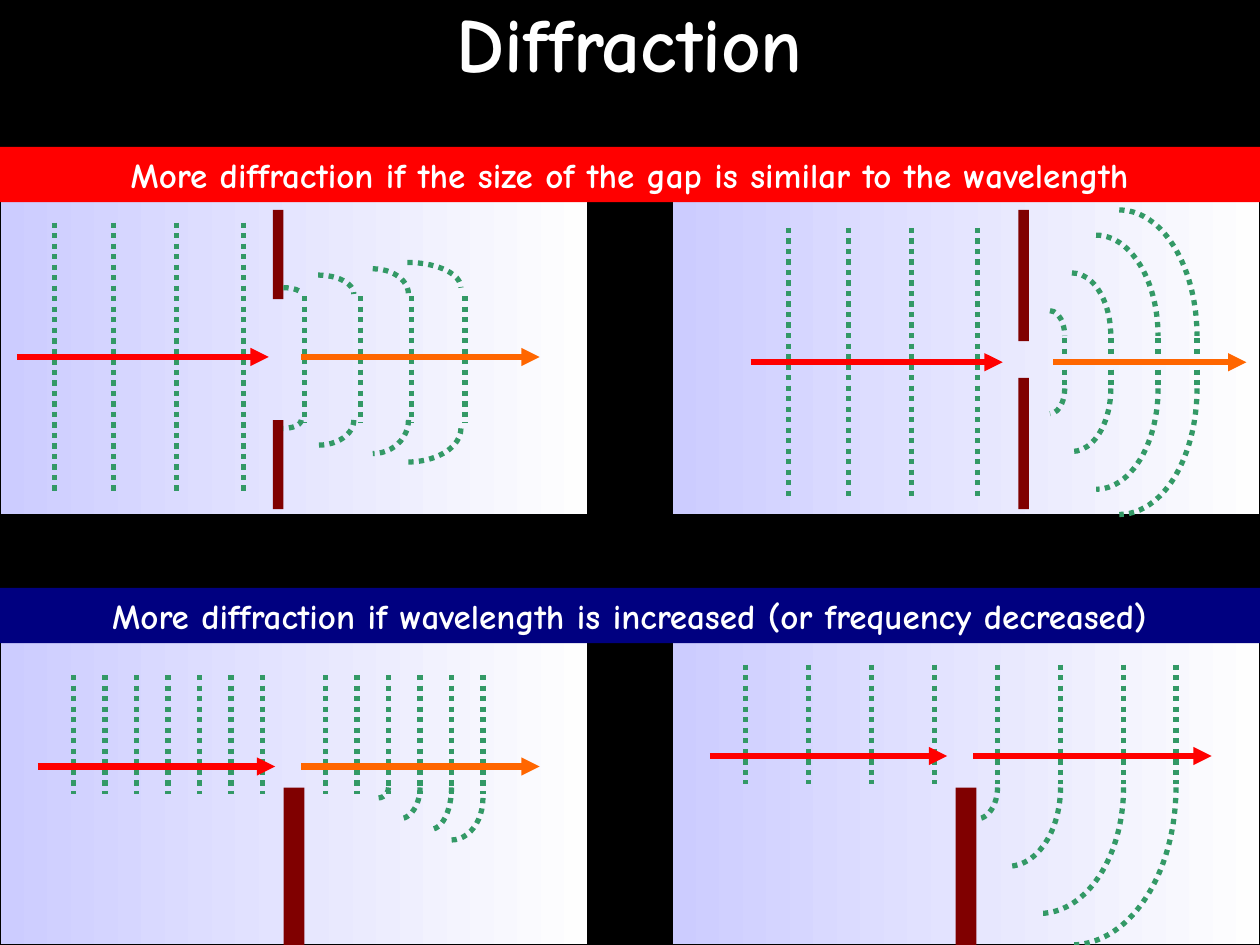
from pptx import Presentation
from pptx.dml.color import RGBColor
from pptx.enum.dml import MSO_LINE as Dash
from pptx.enum.shapes import MSO_CONNECTOR as Conn, MSO_SHAPE as Form
from pptx.enum.text import MSO_ANCHOR as Anchor, PP_ALIGN as Align
from pptx.oxml.ns import qn
from pptx.util import Inches, Pt
from lxml.etree import SubElement

BLACK = RGBColor(0x00, 0x00, 0x00)
WHITE = RGBColor(0xFF, 0xFF, 0xFF)
PALE = RGBColor(0xFE, 0xFE, 0xFE)
LILAC = RGBColor(0xCC, 0xCC, 0xFF)
RED = RGBColor(0xFF, 0x00, 0x00)
NAVY = RGBColor(0x00, 0x00, 0x80)
BROWN = RGBColor(0x80, 0x00, 0x00)
GREEN = RGBColor(0x33, 0x99, 0x66)
ORANGE = RGBColor(0xFF, 0x66, 0x00)

FONT = "Comic Neue"
COLS, ROWS = 120, 90          # slide grid, twelve cells to the inch
WIDE, HIGH = 56, 30           # one panel, in cells
LEFT, RIGHT = 0, COLS - WIDE  # panel columns
UPPER, LOWER = 19, 60         # panel rows


def cell(n):
    return Inches(n / 12)


def write(shape, text, size=20, color=WHITE, bold=True, anchor=Anchor.TOP):
    frame = shape.text_frame
    frame.word_wrap = True
    frame.vertical_anchor = anchor
    frame.margin_left = frame.margin_right = Inches(0.1)
    frame.margin_top = frame.margin_bottom = Inches(0.05)
    para = frame.paragraphs[0]
    para.text = text
    para.alignment = Align.CENTER
    font = para.runs[0].font
    font.name, font.size, font.bold = FONT, Pt(size), bold
    font.color.rgb = color


def block(slide, x, y, w, h, color=None, form=Form.RECTANGLE):
    shape = slide.shapes.add_shape(form, cell(x), cell(y), cell(w), cell(h))
    shape.shadow.inherit = False
    shape.line.fill.background()
    if color is None:
        shape.fill.background()
    else:
        shape.fill.solid()
        shape.fill.fore_color.rgb = color
    return shape


def dots(line):
    line.color.rgb = GREEN
    line.width = Pt(3)
    line.dash_style = Dash.ROUND_DOT


def rule(slide, x1, y1, x2, y2):
    line = slide.shapes.add_connector(
        Conn.STRAIGHT, cell(x1), cell(y1), cell(x2), cell(y2))
    SubElement(line._element.spPr, qn("a:effectLst"))
    return line


def arrow(slide, x1, x2, y, color):
    line = rule(slide, x1, y, x2, y).line
    line.color.rgb = color
    line.width = Pt(3.5)
    SubElement(line._get_or_add_ln(), qn("a:tailEnd"), type="triangle")


def curl(slide, x, y, rx, ry):
    """Quarter arc from (x, y) bending left: down if ry > 0, up if ry < 0."""
    tall = abs(ry)
    arc = block(slide, x - 2 * rx, y - tall, 2 * rx, 2 * tall, form=Form.ARC)
    if ry > 0:
        arc.adjustments[0], arc.adjustments[1] = 0, 54  # 0 to 90 degrees
    dots(arc.line)


def panel(slide, left, top, walls, fronts, curls, arrows):
    """Wave diagram; all parts are in cells from the panel's corner."""
    back = block(slide, left, top, WIDE, HIGH)
    back.fill.gradient()
    back.fill.gradient_angle = 180
    for stop, color in zip(back.fill.gradient_stops, (PALE, LILAC)):
        stop.color.rgb = color
    back.line.color.rgb = BLACK
    back.line.width = Pt(0.75)
    for x, y, w, h in walls:
        block(slide, left + x, top + y, w, h, BROWN)
    for xs, start, end in fronts:
        for x in xs:
            dots(rule(slide, left + x, top + start, left + x, top + end).line)
    for x, y, rx, ry in curls:
        curl(slide, left + x, top + y, rx, ry)
    for x1, x2, y, color in arrows:
        arrow(slide, left + x1, left + x2, top + y, color)


def banner(slide, row, text, color):
    write(block(slide, 0, row, COLS, 5.25, color), text)


def gaps(slide):
    # Wide gap: only the ends of the waves bend
    panel(
        slide, LEFT, UPPER,
        walls=[(26, y, 1, 8.5) for y in (1, 21)],
        fronts=[((5.2, 10.8, 16.8, 23.2), 2.2, 28.1),
                ((29, 34.3, 39.2, 44.3), 9.2, 21.3)],
        curls=[(28.7, 9, 1.7, -0.6), (33.7, 9, 3.4, -1.8),
               (38.9, 9, 3.4, -2.4), (43.9, 8.4, 5.1, -2.4),
               (28.7, 21, 1.7, 0.8), (33.7, 21, 3.4, 2.4),
               (38.9, 21, 3.4, 3.2), (43.9, 21.8, 5.1, 3.2)],
        arrows=[(1.6, 25.6, 15, RED), (28.7, 51.4, 15, ORANGE)])
    # Narrow gap: the waves spread in half circles
    bends = [(37.4, 1.4, 2.4), (41.8, 3.7, 6), (46.3, 5.9, 9.6), (50, 7.4, 12)]
    panel(
        slide, RIGHT, UPPER,
        walls=[(33, y, 1, 12.5) for y in (1, 17)],
        fronts=[((11.1, 16.8, 22.8, 29.1), 2.7, 28.6),
                ([x for x, _, _ in bends], 13.2, 18)],
        curls=[(x, y, rx, way * ry) for y, way in ((13, -1), (18, 1))
               for x, rx, ry in bends],
        arrows=[(7.5, 31.5, 15.5, RED), (36.3, 54.7, 15.5, ORANGE)])


def edges(slide):
    wall = [(27, 15, 2, 15)]
    # Short wavelength
    panel(
        slide, LEFT, LOWER, wall,
        fronts=[(range(7, 26, 3), 4.3, 15.6), (range(31, 47, 3), 4.3, 15.6)],
        curls=[(37, 15, 1, 1), (40, 15, 2, 3), (43, 15, 2, 4), (46, 16, 3, 4)],
        arrows=[(3.6, 26.2, 13, RED), (28.7, 51.4, 13, ORANGE)])
    # Long wavelength
    panel(
        slide, RIGHT, LOWER, wall,
        fronts=[((*range(7, 44, 6), 48), 3.3, 14.7)],
        curls=[(31, 15, 2, 3), (37, 15, 5, 7.5),
               (43, 15, 8, 12), (48, 15, 10, 15)],
        arrows=[(3.6, 26.2, 12, RED), (28.7, 51.4, 12, RED)])


def main():
    deck = Presentation()
    deck.slide_width, deck.slide_height = cell(COLS), cell(ROWS)
    slide = deck.slides.add_slide(deck.slide_layouts[5])
    slide.background.fill.solid()
    slide.background.fill.fore_color.rgb = BLACK

    # Title
    title = slide.shapes.title
    title.left, title.top = 0, 0
    title.width, title.height = cell(COLS), cell(8)
    write(title, "Diffraction", size=44, anchor=Anchor.MIDDLE)

    # Diagrams, then the banners over their top edges
    gaps(slide)
    edges(slide)
    banner(slide, 14, "More diffraction if the size of the gap is similar "
           "to the wavelength", RED)
    banner(slide, 56, "More diffraction if wavelength is increased "
           "(or frequency decreased)", NAVY)
    deck.save("out.pptx")


if __name__ == "__main__":
    main()
